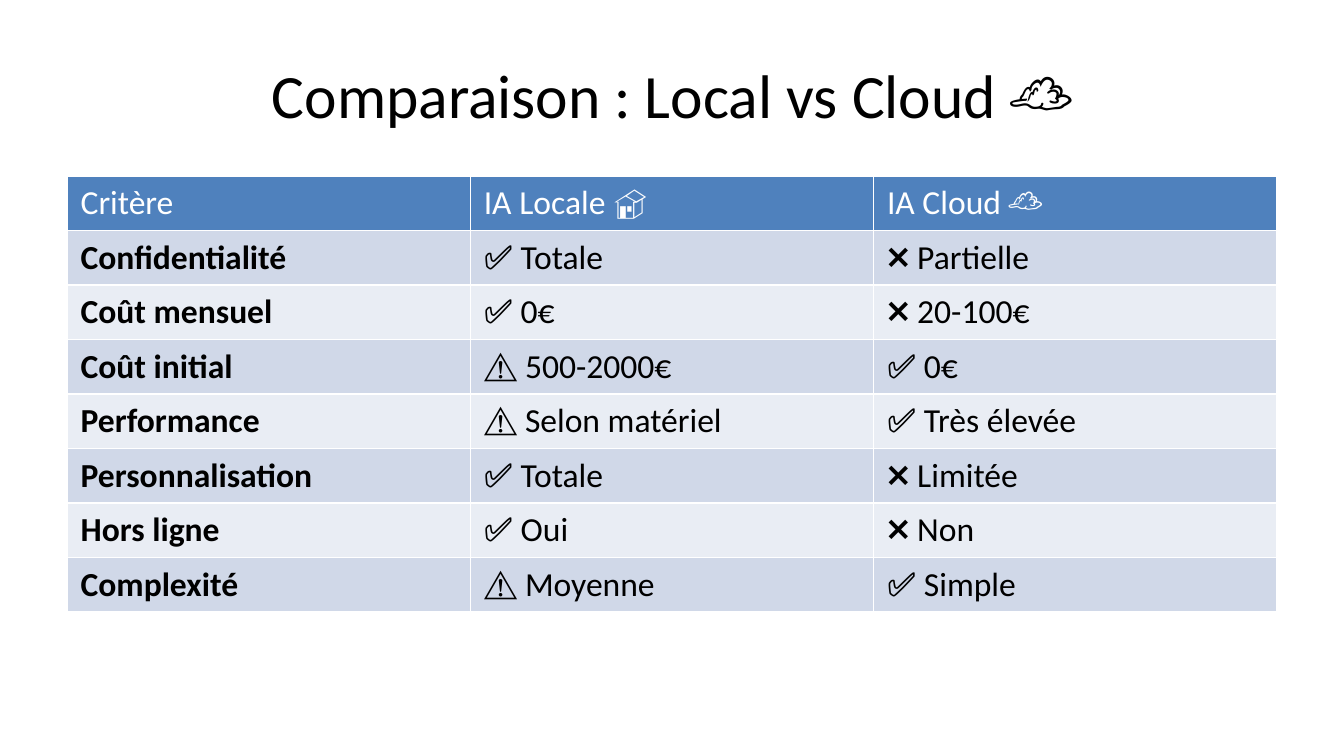
from pptx import Presentation
from pptx.dml.color import RGBColor
from pptx.enum.text import MSO_ANCHOR, PP_ALIGN
from pptx.util import Cm, Pt

CENTER = PP_ALIGN.CENTER
MIDDLE = MSO_ANCHOR.MIDDLE
TITLE_ONLY = 5

FONT = "Calibri"
COLORS = {
    "text": "000000",
    "header": "4F81BD",
    "header_text": "FFFFFF",
    "odd_row": "D0D8E8",
    "even_row": "E9EDF4",
}
LEFT, WIDTH = 1.27, 22.86
ROW_HEIGHT = 1.03

COMPARISON = [
    ("Critère", "IA Locale 🏠", "IA Cloud ☁️"),
    ("Confidentialité", "✅ Totale", "❌ Partielle"),
    ("Coût mensuel", "✅ 0€", "❌ 20-100€"),
    ("Coût initial", "⚠️ 500-2000€", "✅ 0€"),
    ("Performance", "⚠️ Selon matériel", "✅ Très élevée"),
    ("Personnalisation", "✅ Totale", "❌ Limitée"),
    ("Hors ligne", "✅ Oui", "❌ Non"),
    ("Complexité", "⚠️ Moyenne", "✅ Simple"),
]


class SlideBuilder:
    def __init__(self, slide):
        self.slide = slide

    def color(self, name):
        return RGBColor.from_string(COLORS[name])

    def set_text(self, frame, text, size, color, bold=False):
        frame.text = text
        for para in frame.paragraphs:
            for span in para.runs:
                span.font.name = FONT
                span.font.size = Pt(size)
                span.font.bold = bold
                span.font.color.rgb = self.color(color)

    def title(self, text):
        box = self.slide.shapes.title
        box.left, box.top = Cm(LEFT), Cm(0.58)
        box.width, box.height = Cm(WIDTH), Cm(2.39)
        self.set_text(box.text_frame, text, 33, "text")
        box.text_frame.vertical_anchor = MIDDLE
        box.text_frame.paragraphs[0].alignment = CENTER

    def table(self, rows):
        frame = self.slide.shapes.add_table(
            len(rows), len(rows[0]),
            Cm(LEFT), Cm(3.33), Cm(WIDTH), Cm(ROW_HEIGHT * len(rows)),
        )
        for row_index, row in enumerate(rows):
            is_header = row_index == 0
            band = "odd_row" if row_index % 2 else "even_row"
            for column_index, text in enumerate(row):
                cell = frame.table.cell(row_index, column_index)
                cell.fill.solid()
                cell.fill.fore_color.rgb = self.color("header" if is_header else band)
                self.set_text(
                    cell.text_frame, text, 18,
                    "header_text" if is_header else "text",
                    bold=column_index == 0 and not is_header,
                )


def main():
    deck = Presentation()
    deck.slide_width, deck.slide_height = Cm(25.4), Cm(14.29)
    page = SlideBuilder(deck.slides.add_slide(deck.slide_layouts[TITLE_ONLY]))
    page.title("Comparaison : Local vs Cloud ☁️")
    page.table(COMPARISON)
    deck.save("out.pptx")


if __name__ == "__main__":
    main()
